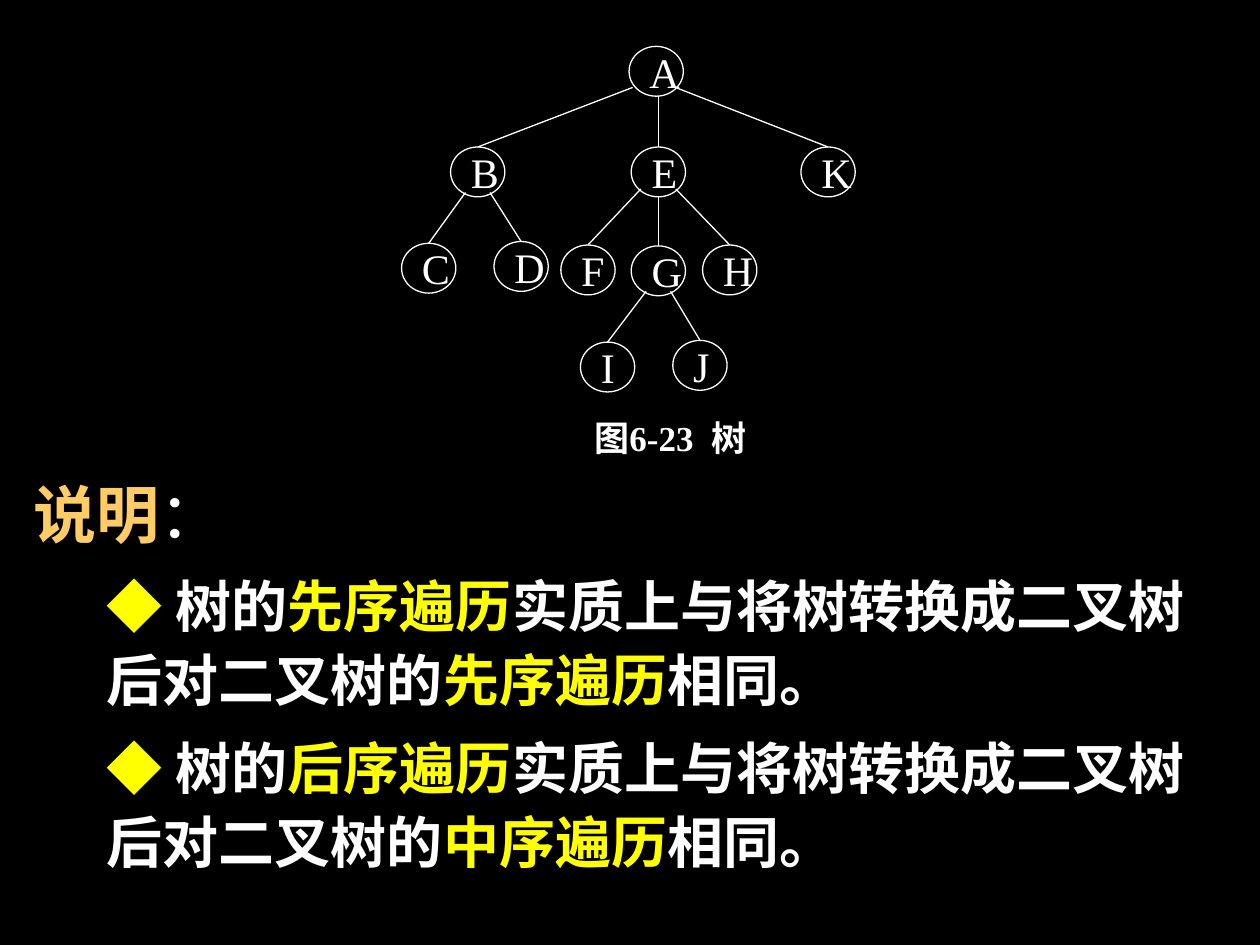
from lxml.etree import SubElement
from pptx import Presentation
from pptx.dml.color import RGBColor
from pptx.enum.shapes import MSO_CONNECTOR, MSO_SHAPE
from pptx.enum.text import MSO_ANCHOR, PP_ALIGN
from pptx.oxml.ns import qn
from pptx.util import Pt

WHITE, YELLOW, ORANGE = "FFFFFF", "FFFF00", "FFCC66"
SERIF, CHINESE = "Times New Roman", "Noto Sans CJK SC"


def color(hex_string):
    return RGBColor.from_string(hex_string)


def style_paragraph(paragraph, size, latin_font, bold=False):
    paragraph.alignment = PP_ALIGN.LEFT
    font = paragraph.font
    font.size = Pt(size)
    font.name = latin_font
    font.bold = bold
    font.color.rgb = color(WHITE)
    defaults = paragraph._p.pPr.find(qn("a:defRPr"))
    SubElement(defaults, qn("a:ea")).set("typeface", CHINESE)


presentation = Presentation()
presentation.slide_width, presentation.slide_height = Pt(720), Pt(540)
slide = presentation.slides.add_slide(presentation.slide_layouts[6])
slide.background.fill.solid()
slide.background.fill.fore_color.rgb = color("000000")

# Explanation: each paragraph is (size, space before, left indent, runs)
explanation = [(36, 9, 0, [("说明", ORANGE, True), ("：", WHITE, False)])]
for tree_order, binary_order in [("先序遍历", "先序遍历"), ("后序遍历", "中序遍历")]:
    explanation.append((32, 8, 42, [
        ("◆", YELLOW, True),
        (" 树的", WHITE, True),
        (tree_order, YELLOW, True),
        ("实质上与将树转换成二叉树后对二叉树的", WHITE, True),
        (binary_order, YELLOW, True),
        ("相同。", WHITE, True),
    ]))

text_box = slide.shapes.add_textbox(Pt(12), Pt(264), Pt(696), Pt(244))
text_frame = text_box.text_frame
text_frame.word_wrap = True
for index, (size, space_before, indent, runs) in enumerate(explanation):
    paragraph = text_frame.add_paragraph() if index else text_frame.paragraphs[0]
    style_paragraph(paragraph, size, CHINESE)
    paragraph.line_spacing = 1.1
    paragraph.space_before = Pt(space_before)
    properties = paragraph._p.pPr
    properties.set("marL", str(Pt(indent)))
    properties.set("indent", "0")
    for text, run_color, bold in runs:
        run = paragraph.add_run()
        run.text = text
        run.font.bold = bold
        run.font.color.rgb = color(run_color)

# Tree nodes: left and top of each ellipse
NODE_WIDTH, NODE_HEIGHT = 31, 28.5
nodes = {
    "A": (359.5, 26.5),
    "B": (257.5, 84), "E": (360.7, 84), "K": (457.7, 84),
    "C": (229.5, 139), "D": (282.3, 138),
    "F": (320.5, 140), "G": (360.7, 140.5), "H": (401.5, 140),
    "I": (331.7, 195.5), "J": (384.5, 194.5),
}
for letter, (left, top) in nodes.items():
    shape = slide.shapes.add_shape(
        MSO_SHAPE.OVAL, Pt(left), Pt(top), Pt(NODE_WIDTH), Pt(NODE_HEIGHT))
    shape.shadow.inherit = False
    shape.fill.background()
    shape.line.color.rgb = color(WHITE)
    shape.line.width = Pt(0.75)
    text_frame = shape.text_frame
    text_frame.word_wrap = False
    text_frame.vertical_anchor = MSO_ANCHOR.MIDDLE
    paragraph = text_frame.paragraphs[0]
    paragraph.text = letter
    style_paragraph(paragraph, 24, SERIF)

# Tree edges: offset from the parent's top middle to the child's top middle
edges = [
    ("A", "B", -13.5, 23.5), ("A", "E", 1.2, 28.5), ("A", "K", 11, 23.5),
    ("B", "C", -7, 26), ("B", "D", 7, 26),
    ("E", "F", -10, 24), ("E", "G", 0, 28.5), ("E", "H", 10, 24),
    ("G", "I", -7, 26), ("G", "J", 7, 26),
]
for parent, child, offset_x, offset_y in edges:
    parent_left, parent_top = nodes[parent]
    child_left, child_top = nodes[child]
    connector = slide.shapes.add_connector(
        MSO_CONNECTOR.STRAIGHT,
        Pt(parent_left + NODE_WIDTH / 2 + offset_x), Pt(parent_top + offset_y),
        Pt(child_left + NODE_WIDTH / 2), Pt(child_top))
    connector.line.color.rgb = color(WHITE)
    connector.line.width = Pt(0.75)
    SubElement(connector._element.spPr, qn("a:effectLst"))

# Caption, wide enough for a single line
caption = slide.shapes.add_textbox(Pt(332.5), Pt(236), Pt(120), Pt(28))
caption.text_frame.word_wrap = True
caption.text_frame.vertical_anchor = MSO_ANCHOR.MIDDLE
paragraph = caption.text_frame.paragraphs[0]
paragraph.text = "图6-23  树"
style_paragraph(paragraph, 20, SERIF, bold=True)

presentation.save("out.pptx")
